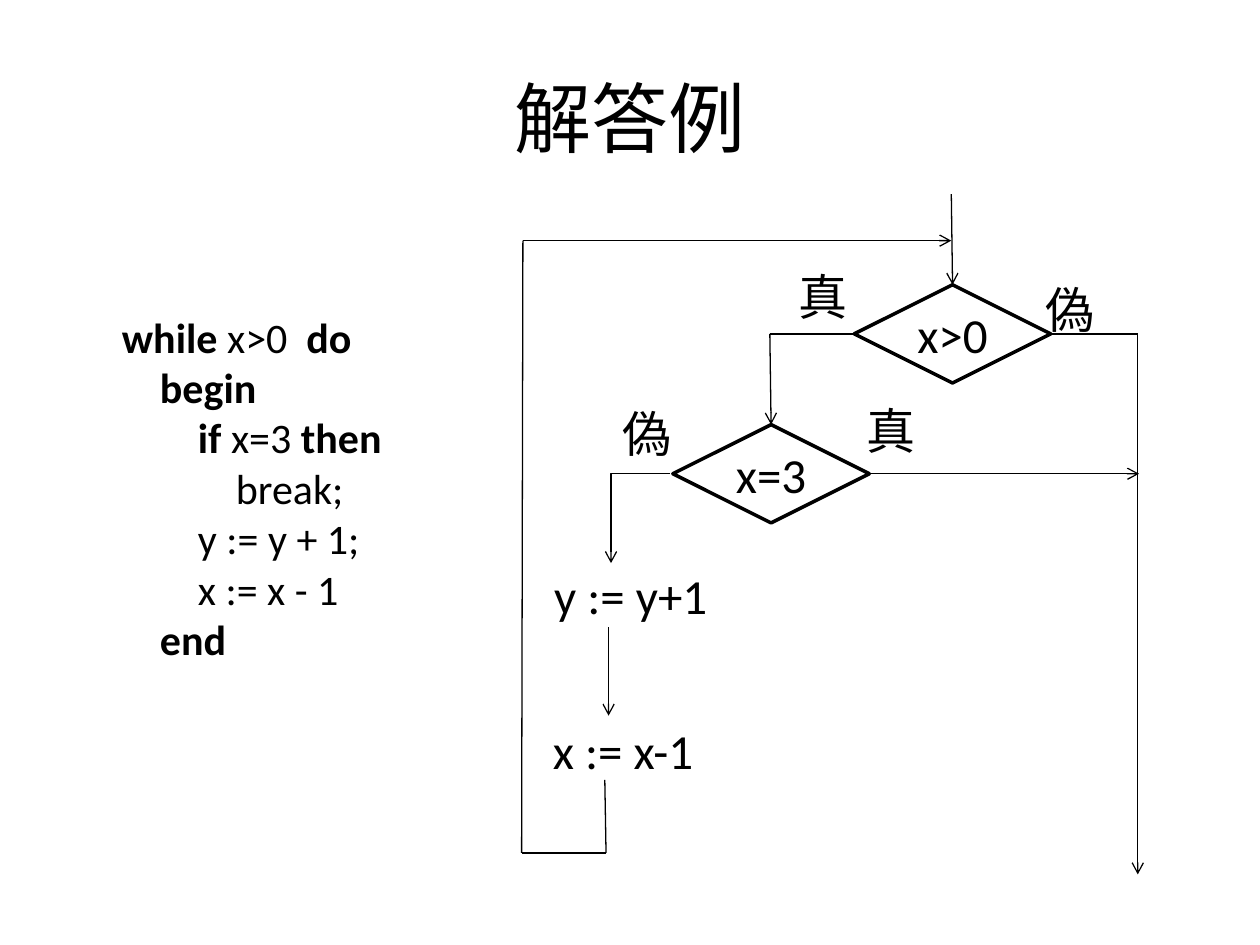
from lxml.etree import SubElement
from pptx import Presentation
from pptx.dml.color import RGBColor
from pptx.enum.shapes import MSO_CONNECTOR, MSO_SHAPE
from pptx.enum.text import MSO_ANCHOR, PP_ALIGN
from pptx.oxml.ns import qn
from pptx.util import Inches, Pt

COLORS = {"ink": "000000"}
FONT = "Calibri"
CELL = 0.1
COLUMNS, ROWS = 100, 75
TOP, LEFT, RIGHT = 0, 1, 3

CODE = [
    [("while", True), (" x>0  ", False), ("do", True)],
    [("    begin", True)],
    [("        ", False), ("if", True), (" x=3 ", False), ("then", True)],
    [("            break;", False)],
    [("        y := y + 1;", False)],
    [("        x := x - 1", False)],
    [("    end", True)],
]
LABELS = [
    ("真", 62.4, 20.7, 5.9),
    ("偽", 82, 21.7, 5.9),
    ("偽", 48.4, 31.5, 5.9),
    ("真", 67.8, 31.3, 5.9),
    ("y := y+1", 43, 44.4, 14.3),
    ("x := x-1", 42.9, 56.7, 13.4),
]


def grid(*cells):
    return [Inches(cell * CELL) for cell in cells]


def ink():
    return RGBColor.from_string(COLORS["ink"])


def style(paragraph, size):
    paragraph.font.name = FONT
    paragraph.font.size = Pt(size)
    paragraph.font.color.rgb = ink()


def add_title(slide, text):
    title = slide.shapes.title
    title.left, title.top, title.width, title.height = grid(5, 3, 90, 12.5)
    title.text_frame.text = text
    title.text_frame.vertical_anchor = MSO_ANCHOR.MIDDLE
    heading = title.text_frame.paragraphs[0]
    heading.alignment = PP_ALIGN.CENTER
    style(heading, 44)


def add_label(slide, text, column, row, columns):
    label = slide.shapes.add_textbox(*grid(column, row, columns, 5.7))
    label.text_frame.word_wrap = False
    label.text_frame.text = text
    style(label.text_frame.paragraphs[0], 28)


def add_code(slide, lines):
    frame = slide.shapes.add_textbox(*grid(8.7, 24.2, 25.6, 29.3)).text_frame
    frame.word_wrap = True
    for number, line in enumerate(lines):
        paragraph = frame.add_paragraph() if number else frame.paragraphs[0]
        style(paragraph, 24)
        for text, bold in line:
            run = paragraph.add_run()
            run.text = text
            run.font.bold = bold


def add_decision(slide, text, column, row):
    decision = slide.shapes.add_shape(
        MSO_SHAPE.DIAMOND, *grid(column, row, 15.6, 7.8))
    decision.shadow.inherit = False
    decision.fill.background()
    decision.line.color.rgb = ink()
    decision.line.width = Pt(2)
    frame = decision.text_frame
    frame.margin_left = frame.margin_right = 0
    frame.margin_top = frame.margin_bottom = 0
    frame.word_wrap = False
    frame.vertical_anchor = MSO_ANCHOR.MIDDLE
    frame.text = text
    frame.paragraphs[0].alignment = PP_ALIGN.CENTER
    style(frame.paragraphs[0], 28)
    return decision


def add_flow(slide, start, end, arrow=False, bent=False):
    kind = MSO_CONNECTOR.ELBOW if bent else MSO_CONNECTOR.STRAIGHT
    flow = slide.shapes.add_connector(kind, *grid(*start, *end))
    flow.line.color.rgb = ink()
    flow.line.width = Pt(0.75)
    properties = flow._element.spPr
    if bent:
        properties.find(qn("a:prstGeom")).set("prst", "bentConnector2")
    if arrow:
        SubElement(properties.find(qn("a:ln")), qn("a:tailEnd"), type="arrow")
    SubElement(properties, qn("a:effectLst"))
    return flow


def add_flows(slide, loop_test, break_test):
    entry = add_flow(slide, (75.5, 15.4), (75.6, 22.6), arrow=True)
    entry.end_connect(loop_test, TOP)
    loop_true = add_flow(slide, (67.8, 26.5), (61.1, 26.5))
    loop_true.begin_connect(loop_test, LEFT)
    to_break_test = add_flow(slide, (61.1, 26.5), (61.2, 33.7), arrow=True)
    to_break_test.end_connect(break_test, TOP)
    loop_false = add_flow(slide, (83.4, 26.5), (90.3, 26.5))
    loop_false.begin_connect(loop_test, RIGHT)
    add_flow(slide, (90.3, 26.5), (90.3, 69.4), arrow=True)
    break_true = add_flow(slide, (69, 37.6), (90.4, 37.6), arrow=True)
    break_true.begin_connect(break_test, RIGHT)
    add_flow(slide, (53.2, 37.6), (48.5, 44.7), arrow=True, bent=True)
    add_flow(slide, (48.3, 49.8), (48.3, 56.8), arrow=True)

    add_flow(slide, (48, 61.9), (48.1, 67.7))
    add_flow(slide, (48.1, 67.7), (41.4, 67.7))
    add_flow(slide, (41.4, 67.7), (41.5, 19.1))
    add_flow(slide, (41.5, 19.1), (75.5, 19.1), arrow=True)


def main():
    deck = Presentation()
    deck.slide_width, deck.slide_height = grid(COLUMNS, ROWS)
    slide = deck.slides.add_slide(deck.slide_layouts[5])
    add_title(slide, "解答例")
    add_code(slide, CODE)
    loop_test = add_decision(slide, "x>0", 67.8, 22.6)
    break_test = add_decision(slide, "x=3", 53.4, 33.7)
    add_flows(slide, loop_test, break_test)
    for label in LABELS:
        add_label(slide, *label)
    deck.save("out.pptx")


if __name__ == "__main__":
    main()
